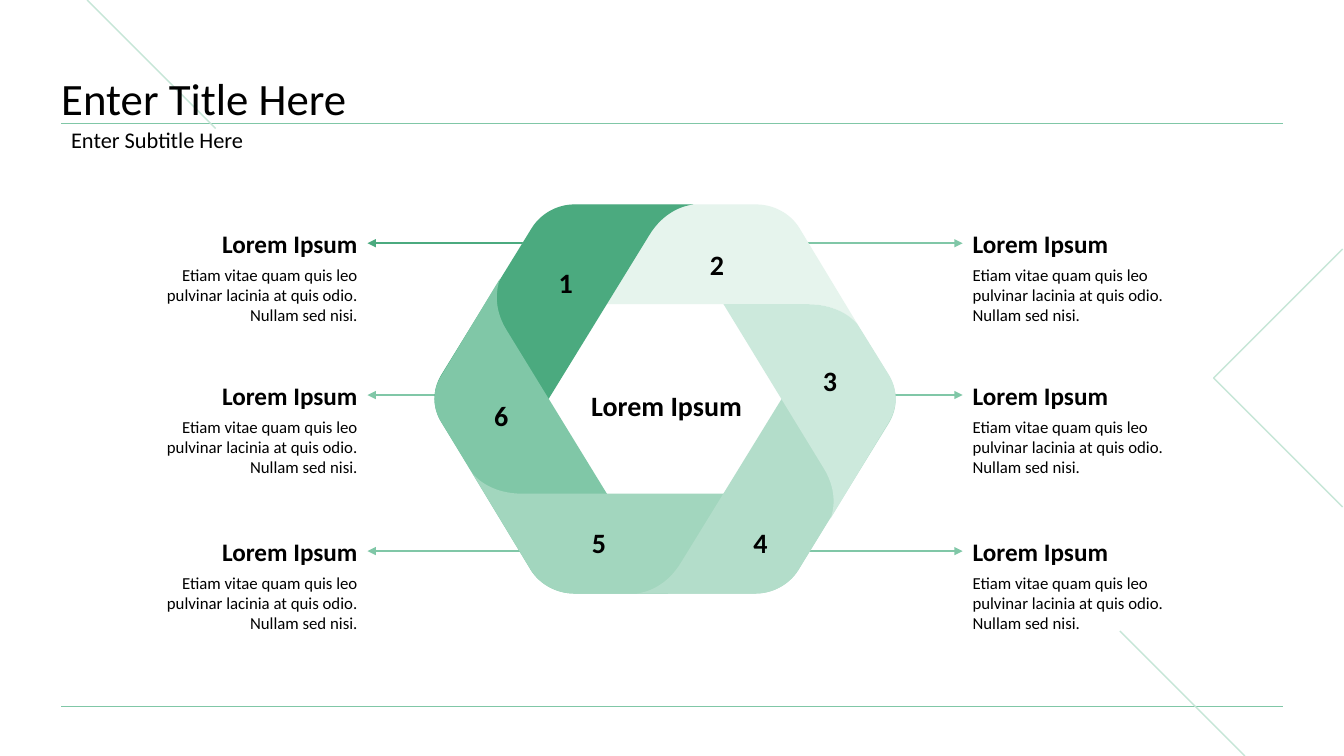
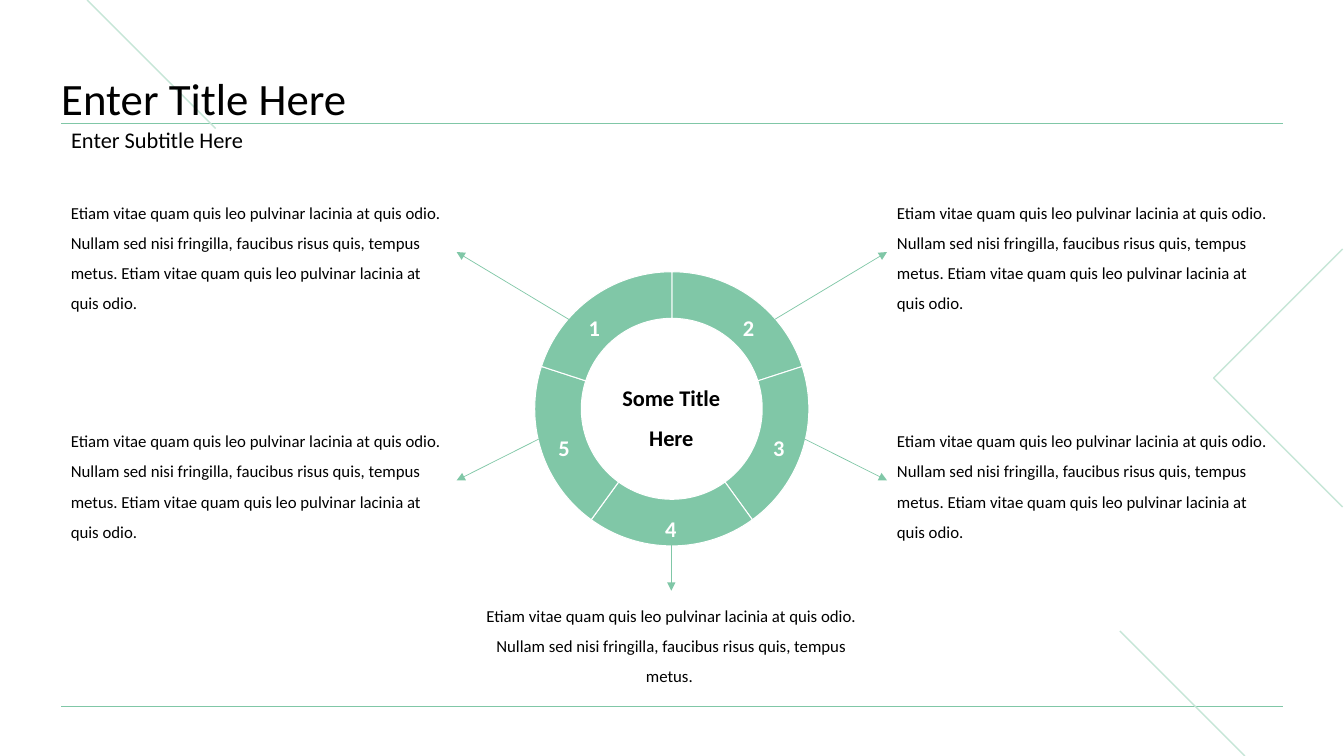
from math import cos, radians, sin, tan

from lxml import etree
from pptx import Presentation
from pptx.dml.color import RGBColor
from pptx.enum.shapes import MSO_CONNECTOR
from pptx.enum.text import MSO_ANCHOR, PP_ALIGN
from pptx.oxml.ns import qn
from pptx.util import Inches, Pt

STRAIGHT = MSO_CONNECTOR.STRAIGHT
TOP, MIDDLE, BOTTOM = MSO_ANCHOR.TOP, MSO_ANCHOR.MIDDLE, MSO_ANCHOR.BOTTOM
LEFT, CENTER, RIGHT = PP_ALIGN.LEFT, PP_ALIGN.CENTER, PP_ALIGN.RIGHT

CELL = Inches(0.01)
WIDE, HIGH = 1333.33, 750
EDGE, SPAN = 60.7, 1212

COLORS = {
    "ink": "000000", "white": "FFFFFF", "green": "80C7A7", "pale": "C6E6D7",
    1: "4BAA7F", 2: "E6F4ED", 3: "CCE9DC", 4: "B3DDCA", 5: "A2D6BE", 6: "80C7A7",
}

STYLES = {
    "title": {"font": {"size": Pt(32)}, "para": {"line_spacing": 0.9},
              "frame": {"vertical_anchor": BOTTOM}, "inset": (0, 0)},
    "sub": {"font": {"size": Pt(16)}, "para": {"line_spacing": 0.9},
            "frame": {"vertical_anchor": MIDDLE}, "inset": (10, 5)},
    "head": {"font": {"size": Pt(18), "bold": True}, "para": {},
             "frame": {"vertical_anchor": MIDDLE}, "inset": (10, 10)},
    "note": {"font": {"size": Pt(12)}, "para": {},
             "frame": {"vertical_anchor": TOP}, "inset": (10, 10)},
    "core": {"font": {"size": Pt(20), "bold": True}, "para": {},
             "frame": {"vertical_anchor": MIDDLE}, "inset": (10, 10)},
    "body": {"font": {"size": Pt(12)}, "para": {"line_spacing": 1.5},
             "frame": {"vertical_anchor": TOP}, "inset": (10, 5)},
    "label": {"font": {"size": Pt(16), "bold": True}, "para": {"line_spacing": 1.5},
              "frame": {"vertical_anchor": TOP}, "inset": (10, 5)},
}

HEAD = "Lorem Ipsum"
NOTE = "Etiam vitae quam quis leo pulvinar lacinia at quis odio. Nullam sed nisi."
SHORT = ("Etiam vitae quam quis leo pulvinar lacinia at quis odio. "
         "Nullam sed nisi fringilla, faucibus risus quis, tempus metus. ")
LONG = SHORT + "Etiam vitae quam quis leo pulvinar lacinia at quis odio."

BAND_1 = [(139, 0), (257, 0), (249, 1, 228, 6, 213, 31), (63, 275), (36, 263), (7, 216),
          (-2, 201, -2, 184, 7, 169), (97, 23), (106, 9, 122, 0, 139, 0)]
BAND_2 = [(370, 99), (51, 99), (97, 23), (106, 9, 122, 0, 140, 0), (319, 0),
          (337, 0, 353, 9, 362, 23), (420, 119), (415, 113, 400, 99, 370, 99)]
BAND_3 = [(287, 99), (370, 99), (400, 99, 415, 113, 420, 119), (451, 169),
          (460, 184, 460, 201, 451, 216), (393, 312), (396, 305, 401, 285, 386, 261)]
BAND_6 = [(65, 74), (63, 81, 57, 101, 72, 125), (232, 386), (139, 386),
          (122, 386, 105, 377, 96, 363), (7, 216), (-2, 202, -2, 184, 7, 170)]


def rgb(name):
    return RGBColor.from_string(COLORS[name])


def emu(*cells):
    return [round(cell * CELL) for cell in cells]


def apply(target, values):
    for name, value in values.items():
        setattr(target, name, value)


def write(slide, box, text, style, align=LEFT, color="ink"):
    look = STYLES[style]
    frame = slide.shapes.add_textbox(*emu(*box)).text_frame
    side, top = emu(*look["inset"])
    apply(frame, {"word_wrap": True, "margin_left": side, "margin_right": side,
                  "margin_top": top, "margin_bottom": top, **look["frame"]})
    para = frame.paragraphs[0]
    apply(para, {"alignment": align, **look["para"]})
    run = para.add_run()
    run.text = text
    apply(run.font, {"name": "Calibri", **look["font"]})
    run.font.color.rgb = rgb(color)


def rule(slide, start, end, color="green", width=0.5, arrow=False):
    line = slide.shapes.add_connector(STRAIGHT, *emu(*start, *end))
    line.line.color.rgb = rgb(color)
    line.line.width = Pt(width)
    if arrow:
        etree.SubElement(line.line._get_or_add_ln(), qn("a:tailEnd"), type="triangle")
    etree.SubElement(line._element.spPr, qn("a:effectLst"))


def curve(shape, steps):
    lines = list(shape._element.iter(qn("a:lnTo")))
    for step in steps:
        group, lines = lines[:len(step) // 2], lines[len(step) // 2:]
        if len(group) == 3:
            bend = etree.Element(qn("a:cubicBezTo"))
            group[0].addprevious(bend)
            for line in group:
                bend.append(line[0])
                line.getparent().remove(line)


def outline(slide, origin, steps, fill=None, edge=None, width=1):
    points = [step[i:i + 2] for step in steps for i in range(0, len(step), 2)]
    (x, y), *rest = [emu(*point) for point in points]
    pen = slide.shapes.build_freeform(x, y)
    pen.add_line_segments(rest, close=fill is not None)
    shape = pen.convert_to_shape(*emu(*origin))
    curve(shape, steps[1:])
    shape.shadow.inherit = False
    if fill is None:
        shape.fill.background()
    else:
        shape.fill.solid()
        shape.fill.fore_color.rgb = rgb(fill)
    if edge is None:
        shape.line.fill.background()
    else:
        shape.line.color.rgb = rgb(edge)
        shape.line.width = Pt(width)


def spin(steps, wide, high):
    return [tuple((high if i % 2 else wide) - value for i, value in enumerate(step))
            for step in steps]


def arc(middle, reach, stops):
    def spot(angle, pull=0):
        a = radians(angle)
        return (middle + reach * (cos(a) - pull * sin(a)),
                middle + reach * (sin(a) + pull * cos(a)))

    steps = [spot(stops[0])]
    for start, end in zip(stops, stops[1:]):
        pull = 4 / 3 * tan(radians(end - start) / 4)
        steps.append(spot(start, pull) + spot(end, -pull) + spot(end))
    return steps


def base(deck):
    slide = deck.slides.add_slide(deck.slide_layouts[6])
    for y in (701, 122.6):
        rule(slide, (EDGE, y), (EDGE + SPAN, y))
    for start, end in (((1111, 626), (1235, HIGH)), ((86.5, 0), (214, 127.5))):
        rule(slide, start, end, "pale", 1)
    outline(slide, (1204, 247), [(128, 0), (0, 128), (128, 256)], edge="pale")
    write(slide, (EDGE, 44, SPAN, 80), "Enter Title Here", "title")
    write(slide, (EDGE, 123, SPAN, 34), "Enter Subtitle Here", "sub")
    return slide


def entry(slide, box, inner, align, color):
    x, y, wide, high = box
    write(slide, (x, y, wide, 27), HEAD, "head", align)
    write(slide, (x, y + 24.8, wide, high - 25), NOTE, "note", align)
    outer = x + wide if align == RIGHT else x
    rule(slide, (inner, y + 13.3), (outer, y + 13.3), color, 1.5, True)


def hexagon(slide, box):
    x, y, wide, high = box
    bands = {2: BAND_2, 1: BAND_1, 6: BAND_6, 5: spin(BAND_2, wide, high),
             4: spin(BAND_1, wide, high), 3: BAND_3}
    for band, steps in bands.items():
        outline(slide, (x, y), steps, band)
    spots = ((90, 63.5), (240, 46), (352, 160.5), (283, 322), (123, 322), (26, 196))
    for number, (left, top) in enumerate(spots, 1):
        write(slide, (x + left, y + top, 81, 27), str(number), "core", CENTER)
    write(slide, (x + 135, y + 162, 191, 74), HEAD, "core", CENTER)


def wheel(slide, box):
    x, y, size, _ = box
    outer, inner, turn = size / 2, size * 0.33, 72
    for part in range(5):
        first = turn * part - 90
        last = first + turn
        stops = [first, *(a for a in (0, 90, 180) if first < a < last), last]
        steps = arc(outer, outer, stops) + arc(outer, inner, stops[::-1])
        outline(slide, (x, y), steps, "green", "white", 0.75)
    spots = ((34, 24), (187, 24), (217, 143), (110, 223.4), (4, 143))
    for number, (left, top) in enumerate(spots, 1):
        write(slide, (x + left, y + top, 50, 46), str(number), "label", CENTER, "white")
    write(slide, (x + 66, y + 93, 139, 87), "Some Title Here", "label", CENTER)


def cycle(deck):
    slide = base(deck)
    rows = ((228, 540, 798), (378.6, 449, 862), (533.4, 531, 798))
    for index, (y, left, right) in enumerate(rows):
        shade = "green" if index else 1
        entry(slide, (117.6, y, 247, 99), left, RIGHT, shade)
        entry(slide, (955, y, 248, 99), right, LEFT, "green")
    hexagon(slide, (430.8, 202.8, 458, 386))


def radial(deck):
    slide = base(deck)
    wheel(slide, (530.5, 269.6, 272, 272))
    wide = 392
    for y, reach, near, far in ((185.8, 102, 317, 250), (412.6, 132, 435.6, 476.6)):
        for x, side, end in ((60.4, -1, 453), (880, 1, 880)):
            write(slide, (x, y, wide, 128), LONG, "body")
            rule(slide, (666.5 + side * reach, near), (end, far), arrow=True)
    write(slide, (470, 586, wide, 98), SHORT, "body", CENTER)
    rule(slide, (666, 539), (666, 586), arrow=True)


def main():
    deck = Presentation()
    deck.slide_width, deck.slide_height = emu(WIDE, HIGH)
    cycle(deck)
    radial(deck)
    deck.save("out.pptx")


if __name__ == "__main__":
    main()
